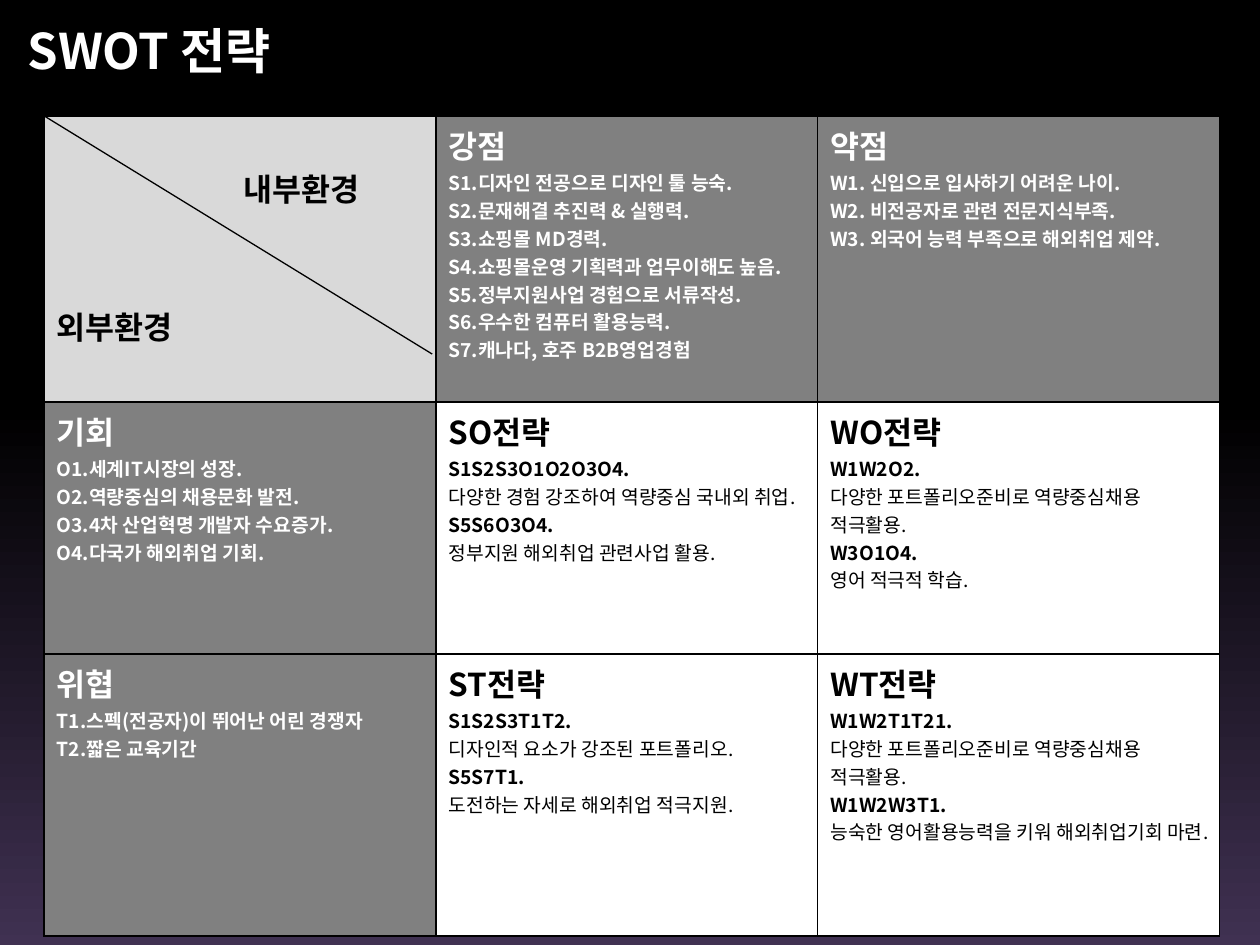
"""Build the SWOT strategy slide."""
from dataclasses import dataclass

from lxml.etree import SubElement
from pptx import Presentation
from pptx.dml.color import RGBColor as Rgb
from pptx.enum.shapes import MSO_CONNECTOR as Connector, MSO_SHAPE as Shape
from pptx.enum.text import MSO_ANCHOR as Anchor
from pptx.oxml.ns import qn
from pptx.util import Inches, Pt


@dataclass(frozen=True)
class Theme:
    font: str = "Noto Sans CJK KR"
    black: Rgb = Rgb(0, 0, 0)
    white: Rgb = Rgb(255, 255, 255)
    purple: Rgb = Rgb(0x40, 0x31, 0x52)
    gray: Rgb = Rgb(0x80, 0x80, 0x80)
    light_gray: Rgb = Rgb(0xD9, 0xD9, 0xD9)
    title_size: Pt = Pt(28)
    heading_size: Pt = Pt(18)
    body_size: Pt = Pt(11)


@dataclass(frozen=True)
class Factor:
    heading: str
    points: tuple[str, ...]


@dataclass(frozen=True)
class Strategy:
    heading: str
    actions: tuple[tuple[str, str], ...]


THEME = Theme()
TABLE_LEFT, TABLE_TOP = 0.35, 0.92
COLUMN_WIDTHS = (3.11, 3.03, 3.19)
ROW_HEIGHTS = (2.27, 2.0, 2.24)

STRENGTHS = Factor("강점", (
    "S1.디자인 전공으로 디자인 툴 능숙.",
    "S2.문재해결 추진력 & 실행력.",
    "S3.쇼핑몰 MD경력.",
    "S4.쇼핑몰운영 기획력과 업무이해도 높음.",
    "S5.정부지원사업 경험으로 서류작성.",
    "S6.우수한 컴퓨터 활용능력.",
    "S7.캐나다, 호주 B2B영업경험",
))
WEAKNESSES = Factor("약점", (
    "W1. 신입으로 입사하기 어려운 나이.",
    "W2. 비전공자로 관련 전문지식부족.",
    "W3. 외국어 능력 부족으로 해외취업 제약.",
))
OPPORTUNITIES = Factor("기회", (
    "O1.세계IT시장의 성장.",
    "O2.역량중심의 채용문화 발전.",
    "O3.4차 산업혁명 개발자 수요증가.",
    "O4.다국가 해외취업 기회.",
))
THREATS = Factor("위협", (
    "T1.스펙(전공자)이 뛰어난 어린 경쟁자",
    "T2.짧은 교육기간",
))
PORTFOLIO = "다양한 포트폴리오준비로 역량중심채용 적극활용."
SO = Strategy("SO전략", (
    ("S1S2S3O1O2O3O4.", "다양한 경험 강조하여 역량중심 국내외 취업."),
    ("S5S6O3O4.", "정부지원 해외취업 관련사업 활용."),
))
WO = Strategy("WO전략", (
    ("W1W2O2.", PORTFOLIO),
    ("W3O1O4.", "영어 적극적 학습."),
))
ST = Strategy("ST전략", (
    ("S1S2S3T1T2.", "디자인적 요소가 강조된 포트폴리오."),
    ("S5S7T1.", "도전하는 자세로 해외취업 적극지원."),
))
WT = Strategy("WT전략", (
    ("W1W2T1T21.", PORTFOLIO),
    ("W1W2W3T1.", "능숙한 영어활용능력을 키워 해외취업기회 마련."),
))
MATRIX = (
    (None, STRENGTHS, WEAKNESSES),
    (OPPORTUNITIES, SO, WO),
    (THREATS, ST, WT),
)


def add_run(paragraph, text: str, size: Pt, color: Rgb, bold: bool = True) -> None:
    run = paragraph.add_run()
    run.text = text
    font = run.font
    font.name, font.size, font.bold = THEME.font, size, bold
    font.color.rgb = color
    SubElement(run._r.get_or_add_rPr(), qn("a:ea"), typeface=THEME.font)


def add_backdrop(slide) -> None:
    backdrop = slide.shapes.add_shape(
        Shape.RECTANGLE, Inches(-0.09), Inches(-0.02), Inches(10.13), Inches(7.55))
    backdrop.shadow.inherit = False
    backdrop.fill.gradient()
    backdrop.fill.gradient_angle = 90
    stops = ((0, THEME.purple), (0.57, THEME.black))
    for stop, (position, color) in zip(backdrop.fill.gradient_stops, stops):
        stop.position = position
        stop.color.rgb = color
    backdrop.line.color.rgb = THEME.white
    backdrop.line.width = Pt(2)


def add_title(slide, text: str) -> None:
    title = slide.shapes.add_textbox(Inches(0.12), Inches(0.08), Inches(9.69), Inches(0.63))
    frame = title.text_frame
    frame.word_wrap = True
    frame.vertical_anchor = Anchor.MIDDLE
    add_run(frame.paragraphs[0], text, THEME.title_size, THEME.white)


def style_cell(cell, fill: Rgb) -> None:
    properties = cell._tc.get_or_add_tcPr()
    for side in ("lnL", "lnR", "lnT", "lnB"):
        border = SubElement(properties, qn(f"a:{side}"), w=str(Pt(1)))
        solid = SubElement(border, qn("a:solidFill"))
        SubElement(solid, qn("a:srgbClr"), val=str(THEME.black))
    cell.fill.solid()
    cell.fill.fore_color.rgb = fill


def fill_corner(cell) -> None:
    style_cell(cell, THEME.light_gray)
    cell.margin_top = Inches(0.39)
    internal = cell.text_frame.paragraphs[0]
    internal._p.get_or_add_pPr().set("marL", str(Inches(1.48)))
    add_run(internal, "내부환경", THEME.heading_size, THEME.black)
    external = cell.text_frame.add_paragraph()
    external.space_before = Pt(52.5)
    add_run(external, "외부환경", THEME.heading_size, THEME.black)


def fill_quadrant(cell, entry: Factor | Strategy) -> None:
    if isinstance(entry, Factor):
        fill, ink = THEME.gray, THEME.white
        lines = [(point, True) for point in entry.points]
    else:
        fill, ink = THEME.white, THEME.black
        lines = [line for codes, action in entry.actions
                 for line in ((codes, True), (action, False))]
    style_cell(cell, fill)
    frame = cell.text_frame
    add_run(frame.paragraphs[0], entry.heading, THEME.heading_size, ink)
    for text, bold in lines:
        add_run(frame.add_paragraph(), text, THEME.body_size, ink, bold)


def add_matrix(slide) -> None:
    table = slide.shapes.add_table(
        len(ROW_HEIGHTS), len(COLUMN_WIDTHS), Inches(TABLE_LEFT), Inches(TABLE_TOP),
        Inches(sum(COLUMN_WIDTHS)), Inches(sum(ROW_HEIGHTS))).table
    table.first_row = table.horz_banding = False
    for column, width in zip(table.columns, COLUMN_WIDTHS):
        column.width = Inches(width)
    for row, height, entries in zip(table.rows, ROW_HEIGHTS, MATRIX):
        row.height = Inches(height)
        for cell, entry in zip(row.cells, entries):
            if entry is None:
                fill_corner(cell)
            else:
                fill_quadrant(cell, entry)


def add_diagonal(slide) -> None:
    diagonal = slide.shapes.add_connector(
        Connector.STRAIGHT, Inches(TABLE_LEFT), Inches(TABLE_TOP), Inches(3.43), Inches(2.81))
    diagonal.line.color.rgb = THEME.black
    diagonal.line.width = Pt(0.75)
    SubElement(diagonal._element.spPr, qn("a:effectLst"))


def main() -> None:
    deck = Presentation()
    deck.slide_width, deck.slide_height = Inches(10), Inches(7.5)
    slide = deck.slides.add_slide(deck.slide_layouts[6])
    add_backdrop(slide)
    add_title(slide, "SWOT 전략")
    add_matrix(slide)
    add_diagonal(slide)
    deck.save("out.pptx")


if __name__ == "__main__":
    main()
